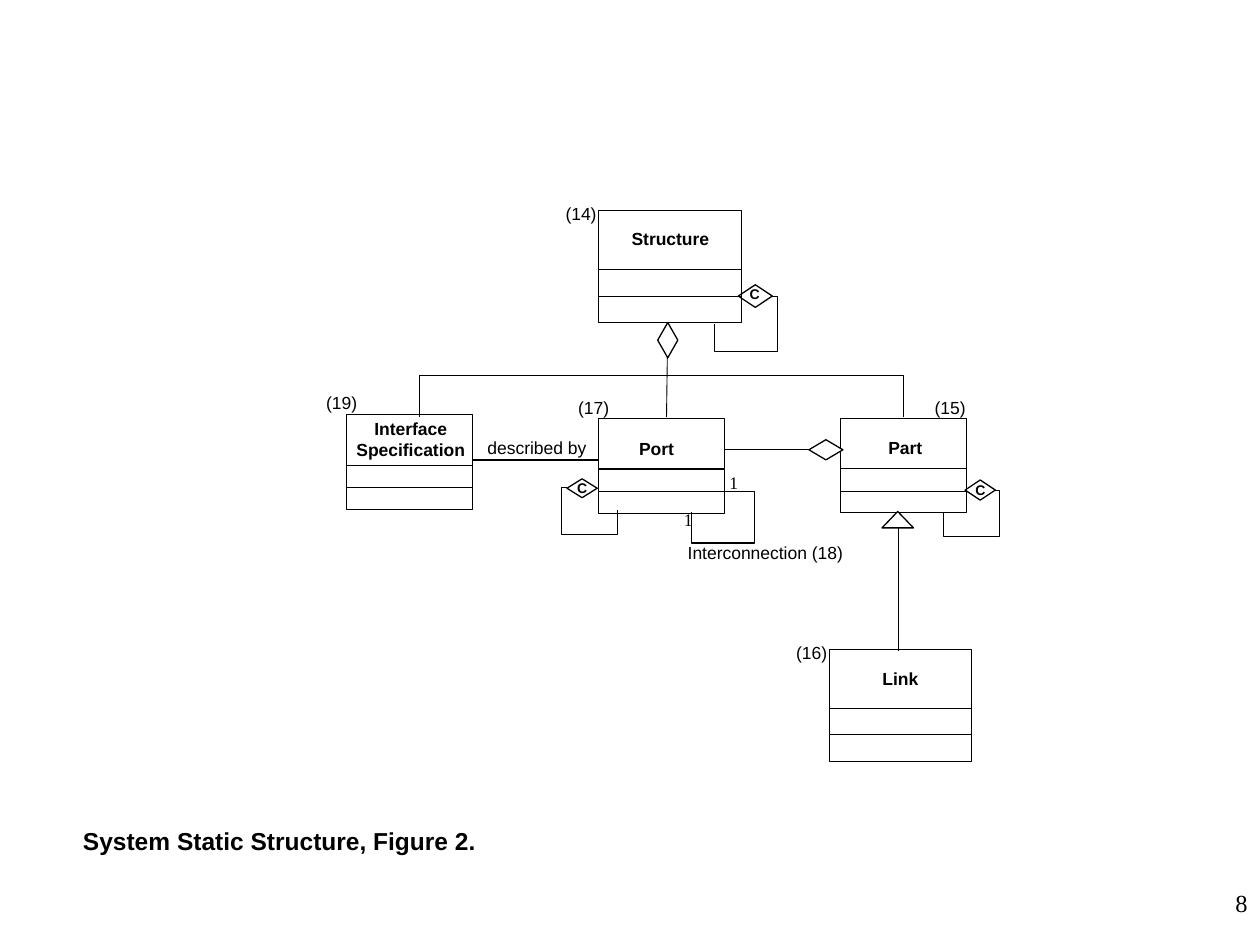
from lxml import etree
from pptx import Presentation
from pptx.dml.color import RGBColor
from pptx.enum.shapes import MSO_CONNECTOR as Connector, MSO_SHAPE as Shape
from pptx.enum.text import MSO_AUTO_SIZE as AutoSize, PP_ALIGN as Align
from pptx.oxml.ns import qn
from pptx.util import Inches, Pt

BLACK = RGBColor(0, 0, 0)
WHITE = RGBColor(255, 255, 255)
HAIRLINE, THIN, MEDIUM = 0.25, 0.5, 0.75
BLANK_LAYOUT = 6
TALL = (0.47, 0.21, 0.21)
SHORT = (0.4, 0.18, 0.17)

# name, left, top, width, row heights, line width, place of the name
CLASSES = [
    ("Port", 4.75, 3.32, 1, SHORT, HAIRLINE, (5.07, 3.48, 0.28, 0.17)),
    ("Interface\nSpecification", 2.75, 3.29, 1, SHORT, HAIRLINE,
     (2.83, 3.32, 0.86, 0.33)),
    ("Part", 6.67, 3.32, 1, SHORT, MEDIUM, (7.05, 3.47, 0.27, 0.17)),
    ("Structure", 4.75, 1.67, 1.13, TALL, HAIRLINE, (5.01, 1.81, 0.62, 0.17)),
    ("Link", 6.58, 5.15, 1.13, TALL, HAIRLINE, (7, 5.3, 0.29, 0.17)),
]

# diamond place, mark corner, diamond tip, then the far, low, back and edge
# coordinates of the line that runs back to the class
LOOPS = [
    ((7.66, 3.81, 0.24, 0.16), (7.74, 3.82), (7.9, 3.89), (7.93, 4.26, 7.49, 4.07)),
    ((4.5, 3.8, 0.24, 0.15), (4.58, 3.81), (4.5, 3.87), (4.46, 4.24, 4.9, 4.05)),
    ((5.86, 2.26, 0.27, 0.18), (5.95, 2.27), (6.13, 2.35), (6.17, 2.79, 5.67, 2.57)),
]

LABELS = [
    ("(17)", 4.49, 3.1, 0.44),
    ("(19)", 2.49, 3.06, 0.44),
    ("(15)", 7.32, 3.1, 0.44),
    ("(14)", 4.39, 1.56, 0.44),
    ("(16)", 6.22, 5.05, 0.44),
    ("described by", 3.77, 3.42, 0.98),
    ("Interconnection (18)", 5.36, 4.25, 1.43),
]
MULTIPLICITIES = [(5.69, 3.7), (5.33, 3.99)]

# start, end, line width
LINKS = [
    ((5.29, 3.31), (5.3, 2.56), THIN),
    ((3.75, 3.65), (4.75, 3.65), MEDIUM),
    ((6.42, 3.57), (5.75, 3.57), MEDIUM),
    ((7.13, 4.18), (7.13, 5.17), MEDIUM),
]
BRANCH = [(3.33, 3.31), (3.33, 2.98), (7.17, 2.98), (7.17, 3.31)]
INTERCONNECTION = [(5.49, 4.06), (5.49, 4.31), (5.99, 4.31), (5.99, 3.9), (5.74, 3.9)]

# preset shape, place
SYMBOLS = [
    (Shape.DIAMOND, (5.22, 2.56, 0.16, 0.28)),
    (Shape.DIAMOND, (6.42, 3.49, 0.27, 0.16)),
    (Shape.ISOSCELES_TRIANGLE, (7, 4.06, 0.25, 0.13)),
]


def inches(values):
    return [Inches(value) for value in values]


def set_outline(shape, width, filled=True):
    shape.shadow.inherit = False
    if filled:
        shape.fill.solid()
        shape.fill.fore_color.rgb = WHITE
    else:
        shape.fill.background()
    shape.line.color.rgb = BLACK
    shape.line.width = Pt(width)


def add_symbol(shapes, preset, place, width=MEDIUM, filled=True):
    set_outline(shapes.add_shape(preset, *inches(place)), width, filled)


def add_text(shapes, text, place, inset=True, align=Align.LEFT, wrap=False, **font):
    box = shapes.add_textbox(*inches(place))
    frame = box.text_frame
    across, down = (0.1, 0.05) if inset else (0, 0)
    frame_format = {
        "word_wrap": wrap, "auto_size": AutoSize.NONE,
        "margin_left": Inches(across), "margin_right": Inches(across),
        "margin_top": Inches(down), "margin_bottom": Inches(down),
    }
    for key, value in frame_format.items():
        setattr(frame, key, value)
    font_format = {"name": "Arial", "size": Pt(10), "bold": False, **font}
    frame.text = text
    for para in frame.paragraphs:
        para.alignment = align
        for span in para.runs:
            span.font.color.rgb = BLACK
            for key, value in font_format.items():
                setattr(span.font, key, value)


def add_path(shapes, points, width):
    """Draw an open, unfilled line through the points."""
    start, *rest = [inches(point) for point in points]
    builder = shapes.build_freeform(*start)
    builder.add_line_segments(rest, close=False)
    set_outline(builder.convert_to_shape(), width, filled=False)


def add_link(shapes, start, end, width):
    link = shapes.add_connector(Connector.STRAIGHT, *inches(start + end))
    link.line.color.rgb = BLACK
    link.line.width = Pt(width)
    etree.SubElement(link._element.spPr, qn("a:effectLst"))


def add_class(shapes, name, left, top, width, heights, line_width, name_place):
    """Stack the compartments of a class and write its name."""
    for row in reversed(range(len(heights))):
        place = (left, top + sum(heights[:row]), width, heights[row])
        add_symbol(shapes, Shape.RECTANGLE, place, line_width)
    add_text(shapes, name, name_place, inset=False, align=Align.CENTER, bold=True)


def add_loop(shapes, diamond, mark, tip, route):
    """Draw a composition of a class with itself, marked C."""
    far, low, back, edge = route
    group = shapes.add_group_shape().shapes
    add_path(group, [tip, (far, tip[1]), (far, low), (back, low), (back, edge)], THIN)
    add_symbol(group, Shape.DIAMOND, diamond, filled=False)
    add_text(group, "C", mark + (0.08, 0.13), inset=False, size=Pt(8), bold=True)


def main():
    deck = Presentation()
    deck.slide_width, deck.slide_height = Inches(10), Inches(7.5)
    page = deck.slides.add_slide(deck.slide_layouts[BLANK_LAYOUT])
    shapes = page.shapes

    for entry in CLASSES:
        add_class(shapes, *entry)
    for loop in LOOPS:
        add_loop(shapes, *loop)
    for link in LINKS:
        add_link(shapes, *link)
    for points in (BRANCH, INTERCONNECTION):
        add_path(shapes, points, MEDIUM)
    for preset, place in SYMBOLS:
        add_symbol(shapes, preset, place)
    for text, left, top, width in LABELS:
        add_text(shapes, text, (left, top, width, 0.27))
    for corner in MULTIPLICITIES:
        add_text(shapes, "1", corner + (0.27, 0.27), name="Times New Roman")

    add_text(shapes, "System Static Structure, Figure 2.", (0.56, 6.51, 3.32, 0.34),
             size=Pt(14), bold=True)
    add_text(shapes, "8", (7.92, 7, 2.08, 0.5), align=Align.RIGHT, wrap=True,
             name="Times New Roman", size=Pt(14))
    deck.save("out.pptx")


if __name__ == "__main__":
    main()
